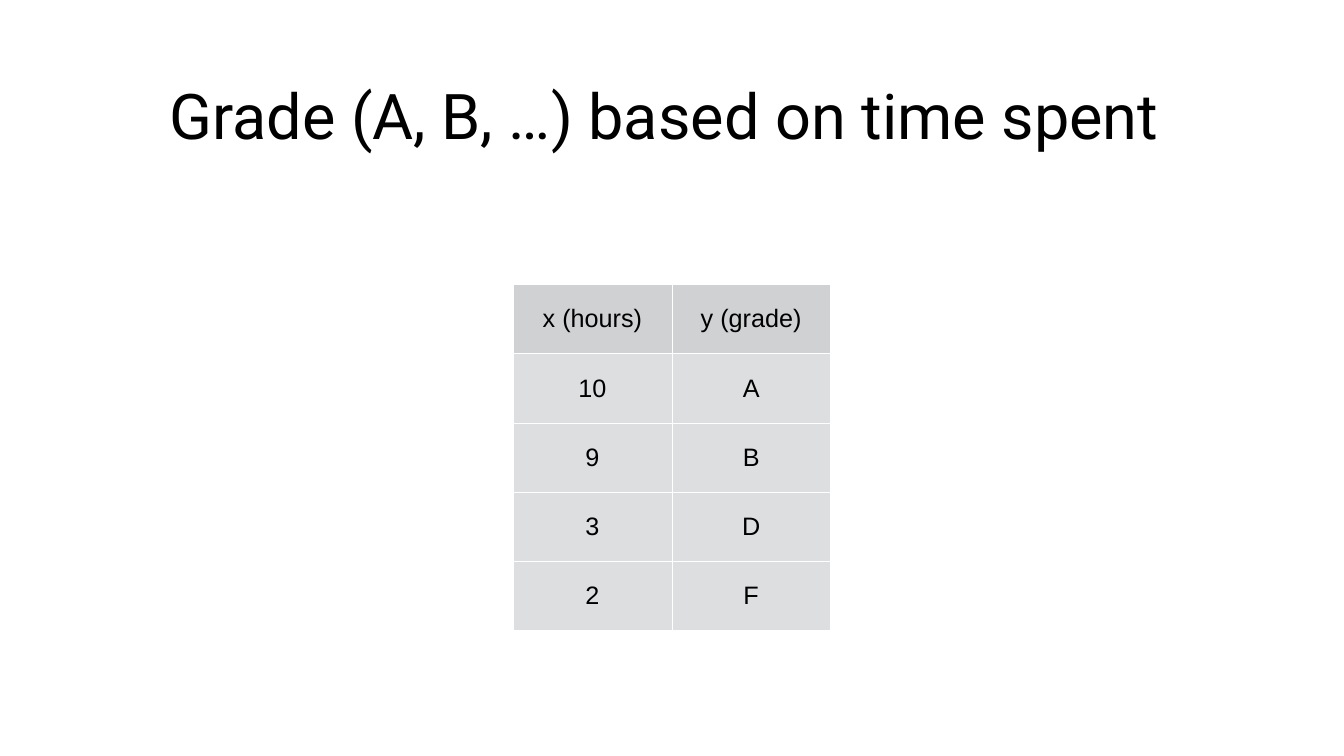
from lxml.etree import SubElement
from pptx import Presentation
from pptx.dml.color import RGBColor
from pptx.enum.text import MSO_ANCHOR, MSO_AUTO_SIZE, PP_ALIGN
from pptx.oxml.ns import qn
from pptx.util import Cm, Pt

BLACK = RGBColor(0x00, 0x00, 0x00)
WHITE = RGBColor(0xFF, 0xFF, 0xFF)
HEADER_GREY = RGBColor(0xD0, 0xD1, 0xD2)
BODY_GREY = RGBColor(0xDC, 0xDE, 0xE0)

GRADES = [
    ("x (hours)", "y (grade)"),
    ("10", "A"),
    ("9", "B"),
    ("3", "D"),
    ("2", "F"),
]


def write_text(frame, text, *, font, size, color=BLACK, align=PP_ALIGN.CENTER):
    para = frame.paragraphs[0]
    para.alignment = align
    span = para.add_run()
    span.text = text
    span.font.name = font
    span.font.size = Pt(size)
    span.font.color.rgb = color


class GradeSlide:
    """Holds the style and the current slide, and adds its elements."""

    title_style = {"font": "Roboto", "size": 90}
    cell_style = {"font": "Arial", "size": 36}

    def __init__(self, deck):
        self.page = deck.slides.add_slide(deck.slide_layouts[5])

    def add_title(self, text, left, top, width, height):
        box = self.page.shapes.title
        box.left, box.top, box.width, box.height = map(Cm, (left, top, width, height))
        frame = box.text_frame
        frame.auto_size = MSO_AUTO_SIZE.NONE
        frame.word_wrap = True
        frame.vertical_anchor = MSO_ANCHOR.MIDDLE
        frame.margin_left = frame.margin_right = Cm(0.2)
        frame.margin_top = frame.margin_bottom = Cm(0.2)
        write_text(frame, text, **self.title_style)

    def add_table(self, rows, left, top, column_width, row_height):
        row_count, column_count = len(rows), len(rows[0])
        table = self.page.shapes.add_table(
            row_count, column_count, Cm(left), Cm(top),
            Cm(column_width * column_count), Cm(row_height * row_count),
        ).table
        for row_index, values in enumerate(rows):
            fill = BODY_GREY if row_index else HEADER_GREY
            for column_index, value in enumerate(values):
                self.fill_cell(table.cell(row_index, column_index), value, fill)

    def fill_cell(self, cell, text, fill):
        cell.vertical_anchor = MSO_ANCHOR.MIDDLE
        cell.margin_left = cell.margin_right = Cm(0.15)
        cell.margin_top = cell.margin_bottom = Cm(0.15)
        write_text(cell.text_frame, text, **self.cell_style)
        properties = cell._tc.get_or_add_tcPr()
        for side in ("lnL", "lnR", "lnT", "lnB"):
            line = SubElement(properties, qn(f"a:{side}"), w=str(Pt(1)))
            line_fill = SubElement(line, qn("a:solidFill"))
            SubElement(line_fill, qn("a:srgbClr"), val=str(WHITE))
        cell.fill.solid()
        cell.fill.fore_color.rgb = fill


def main():
    deck = Presentation()
    deck.slide_width, deck.slide_height = Cm(67.74), Cm(38.1)
    slide = GradeSlide(deck)
    slide.add_title("Grade (A, B, …) based on time spent ", -0.05, 1, 67.84, 9.52)
    slide.add_table(GRADES, left=25.86, top=14.35, column_width=8, row_height=3.48)
    deck.save("out.pptx")


if __name__ == "__main__":
    main()
